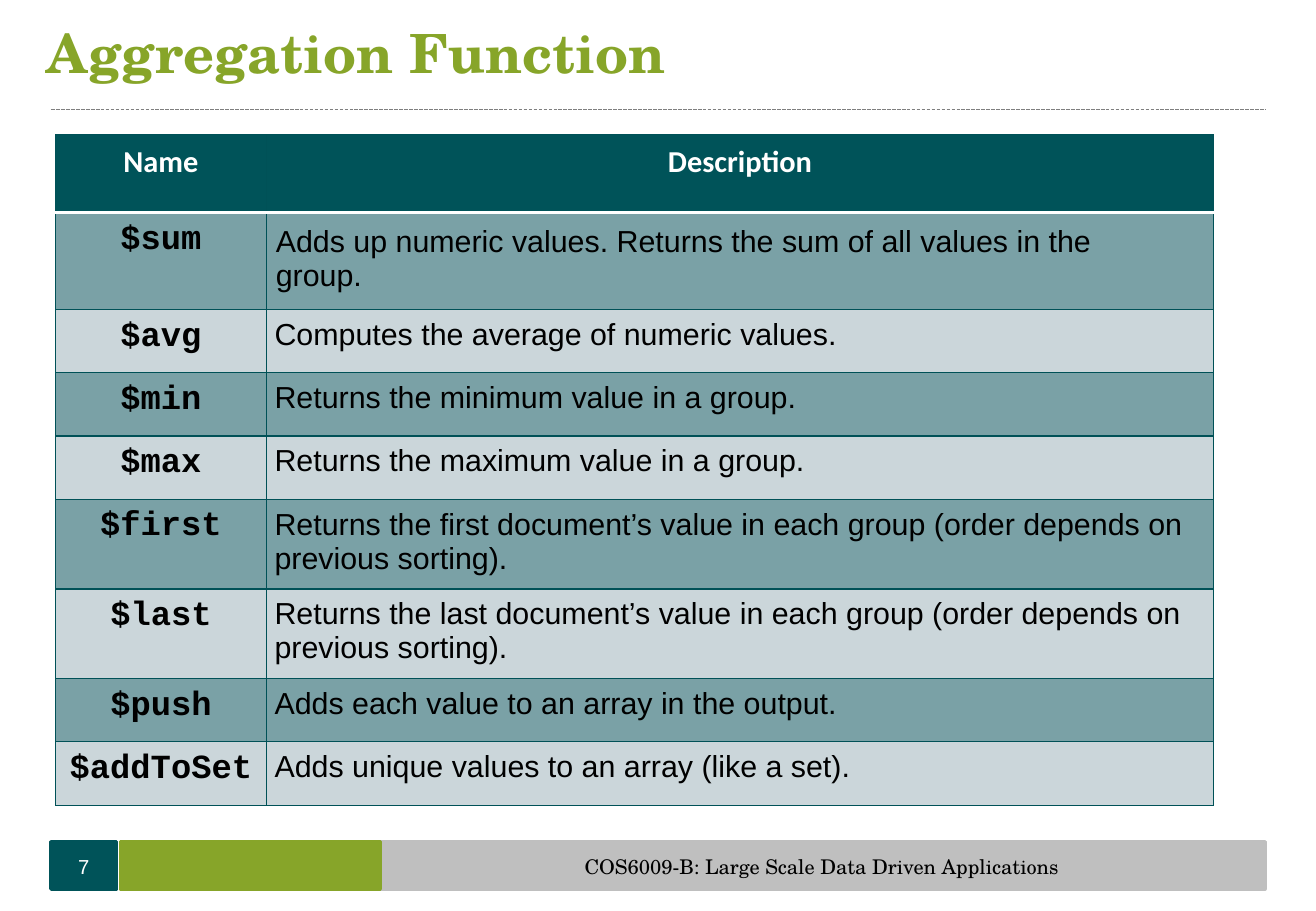
"""Build the Aggregation Function slide with its operator table and footer."""
import dataclasses
import typing

import lxml.etree
import pptx
import pptx.dml.color
import pptx.enum.dml
import pptx.enum.shapes
import pptx.enum.text
import pptx.oxml.ns
import pptx.util

Inches = pptx.util.Inches
Align = pptx.enum.text.PP_ALIGN
Anchor = pptx.enum.text.MSO_ANCHOR

COLOURS = {
    "teal": "005359", "border": "005157", "green": "87A529", "grey": "BFBFBF",
    "rule": "7F7F7F", "dark_band": "7AA1A6", "light_band": "CBD6DA",
    "white": "FFFFFF", "black": "000000",
}
SERIF = "TeX Gyre Schola"
HEADER = ("Name", "Description")
COLUMN_WIDTHS = (1.73, 7.8)
HEADER_HEIGHT = 0.64
ROW_HEIGHT = 0.52
CELL_MARGINS = (0.07, 0.07, 0.07, 0.07)
WIDE_MARGINS = (0.08, 0.1, 0.25, 0.1)


@dataclasses.dataclass(frozen=True)
class Bar:
    """One coloured footer bar."""
    left: float
    width: float
    colour: str


@dataclasses.dataclass(frozen=True)
class Operator:
    """One aggregation operator and what it does."""
    name: str
    description: str
    margins: tuple[float, ...] = CELL_MARGINS


@dataclasses.dataclass(frozen=True)
class Label:
    """One text box and its format."""
    text: str
    box: tuple[float, float, float, float]
    style: dict[str, typing.Any]
    margins: tuple[float, ...] = (0, 0, 0, 0)


BARS = (
    Bar(0.42, 0.54, "teal"),
    Bar(3.13, 7.28, "grey"),
    Bar(0.99, 2.14, "green"),
)
OPERATORS = (
    Operator("$sum", "Adds up numeric values. Returns the sum of all values in the group.",
             WIDE_MARGINS),
    Operator("$avg", "Computes the average of numeric values."),
    Operator("$min", "Returns the minimum value in a group."),
    Operator("$max", "Returns the maximum value in a group."),
    Operator("$first", "Returns the first document’s value in each group "
                       "(order depends on previous sorting)."),
    Operator("$last", "Returns the last document’s value in each group "
                      "(order depends on previous sorting)."),
    Operator("$push", "Adds each value to an array in the output."),
    Operator("$addToSet", "Adds unique values to an array (like a set)."),
)
LABELS = (
    Label("Aggregation Function", (0.38, 0, 9.13, 0.85),
          {"size": 32, "font": SERIF, "colour": "green", "bold": True}),
    Label("COS6009-B: Large Scale Data Driven Applications", (3.13, 6.93, 7.27, 0.4),
          {"size": 12, "font": SERIF, "align": Align.CENTER}, (0.12, 0, 0.12, 0)),
    Label("7", (0.41, 6.93, 0.56, 0.4),
          {"size": 12, "font": "Arial", "colour": "white", "align": Align.CENTER}),
)


def rgb(name: str) -> pptx.dml.color.RGBColor:
    """Return a named colour."""
    return pptx.dml.color.RGBColor.from_string(COLOURS[name])


def write_text(frame, text: str, *, size: float, font: str, colour: str = "black",
               bold: bool = False, align=Align.LEFT) -> None:
    """Write one formatted paragraph into a text frame."""
    paragraph = frame.paragraphs[0]
    paragraph.alignment = align
    run = paragraph.add_run()
    run.text = text
    run.font.size = pptx.util.Pt(size)
    run.font.name = font
    run.font.bold = bold
    run.font.color.rgb = rgb(colour)


def set_margins(target, margins: tuple[float, ...]) -> None:
    """Set left, top, right and bottom margins of a frame or cell."""
    for side, margin in zip(("left", "top", "right", "bottom"), margins):
        setattr(target, f"margin_{side}", Inches(margin))


def add_label(slide, label: Label) -> None:
    """Add a vertically centred text box."""
    frame = slide.shapes.add_textbox(*map(Inches, label.box)).text_frame
    frame.word_wrap = True
    frame.vertical_anchor = Anchor.MIDDLE
    set_margins(frame, label.margins)
    write_text(frame, label.text, **label.style)


def add_bar(slide, bar: Bar) -> None:
    """Add a footer bar."""
    shape = slide.shapes.add_shape(pptx.enum.shapes.MSO_SHAPE.RECTANGLE, Inches(bar.left),
                                   Inches(6.93), Inches(bar.width), Inches(0.39))
    shape.shadow.inherit = False
    shape.fill.solid()
    shape.fill.fore_color.rgb = rgb(bar.colour)
    shape.line.color.rgb = rgb(bar.colour)
    shape.line.width = pptx.util.Pt(2)


def add_rule(slide) -> None:
    """Add the dashed line under the title."""
    rule = slide.shapes.add_connector(pptx.enum.shapes.MSO_CONNECTOR.STRAIGHT,
                                      Inches(0.42), Inches(0.9), Inches(10.42), Inches(0.9))
    rule.line.color.rgb = rgb("rule")
    rule.line.width = pptx.util.Pt(0.75)
    rule.line.dash_style = pptx.enum.dml.MSO_LINE.SQUARE_DOT
    properties = rule.element.find(pptx.oxml.ns.qn("p:spPr"))
    lxml.etree.SubElement(properties, pptx.oxml.ns.qn("a:effectLst"))


def set_borders(cell, white_sides: str) -> None:
    """Draw thin borders, with thick white ones on the listed sides."""
    qn = pptx.oxml.ns.qn
    properties = cell._tc.get_or_add_tcPr()
    for position, side in enumerate("LRTB"):
        colour, points = ("white", 2) if side in white_sides else ("border", 0.75)
        line = lxml.etree.Element(qn(f"a:ln{side}"), w=str(pptx.util.Pt(points)))
        fill = lxml.etree.SubElement(line, qn("a:solidFill"))
        lxml.etree.SubElement(fill, qn("a:srgbClr"), val=COLOURS[colour])
        properties.insert(position, line)


def fill_cell(cell, text: str, *, fill: str, margins: tuple[float, ...] = CELL_MARGINS,
              white_sides: str = "", **style: typing.Any) -> None:
    """Fill one table cell with text, colour and borders."""
    set_margins(cell, margins)
    cell.fill.solid()
    cell.fill.fore_color.rgb = rgb(fill)
    set_borders(cell, white_sides)
    write_text(cell.text_frame, text, **style)


def add_operator_table(slide) -> None:
    """Add the table of aggregation operators."""
    height = HEADER_HEIGHT + ROW_HEIGHT * len(OPERATORS)
    table = slide.shapes.add_table(len(OPERATORS) + 1, len(HEADER), Inches(0.46), Inches(1.11),
                                   Inches(sum(COLUMN_WIDTHS)), Inches(height)).table
    table.horz_banding = False
    for column, width in zip(table.columns, COLUMN_WIDTHS):
        column.width = Inches(width)
    table.rows[0].height = Inches(HEADER_HEIGHT)
    for column, heading in enumerate(HEADER):
        fill_cell(table.cell(0, column), heading, fill="teal", white_sides="B", size=18,
                  font="Calibri", colour="white", bold=True, align=Align.CENTER)
    for row, operator in enumerate(OPERATORS, start=1):
        table.rows[row].height = Inches(ROW_HEIGHT)
        band = "dark_band" if row % 2 else "light_band"
        white_sides = "T" if row == 1 else ""
        fill_cell(table.cell(row, 0), operator.name, fill=band, white_sides=white_sides,
                  size=20, font="Courier New", bold=True, align=Align.CENTER)
        fill_cell(table.cell(row, 1), operator.description, fill=band, white_sides=white_sides,
                  margins=operator.margins, size=18, font="Arial")


def main() -> None:
    """Build and save the presentation."""
    presentation = pptx.Presentation()
    presentation.slide_width = Inches(10.83)
    presentation.slide_height = Inches(7.5)
    slide = presentation.slides.add_slide(presentation.slide_layouts[6])
    for bar in BARS:
        add_bar(slide, bar)
    add_rule(slide)
    for label in LABELS:
        add_label(slide, label)
    add_operator_table(slide)
    presentation.save("out.pptx")


if __name__ == "__main__":
    main()
